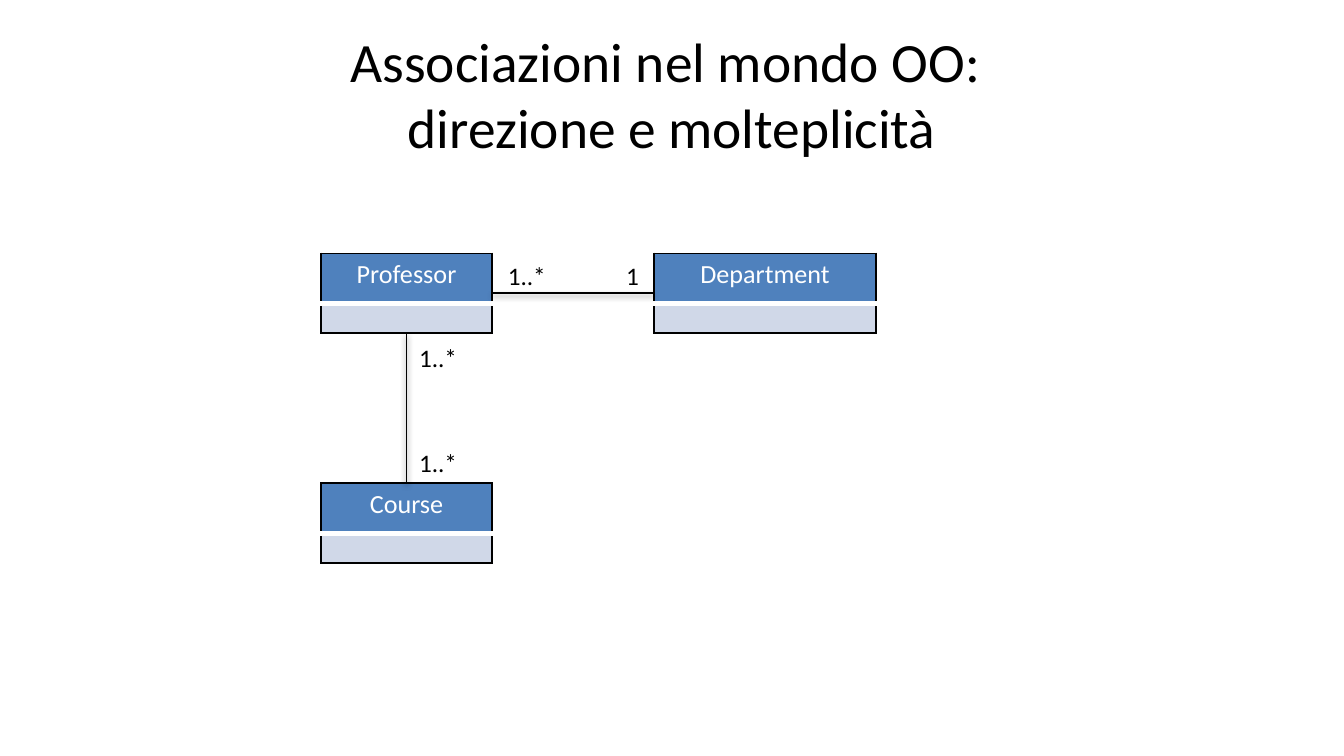
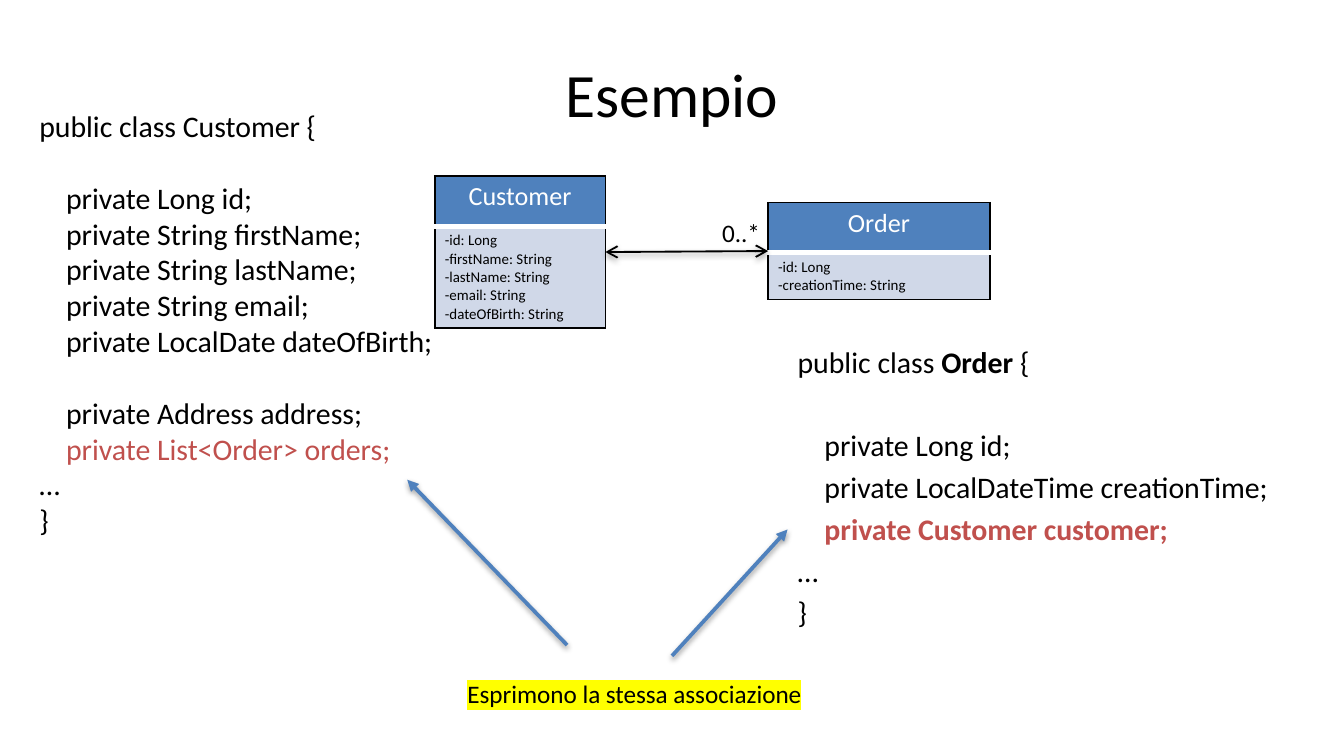
from dataclasses import dataclass
from typing import NamedTuple

from lxml import etree
from pptx import Presentation
from pptx.dml.color import RGBColor
from pptx.enum.shapes import MSO_CONNECTOR
from pptx.enum.text import MSO_ANCHOR, MSO_AUTO_SIZE, PP_ALIGN
from pptx.oxml.ns import qn
from pptx.util import Inches, Pt

STRAIGHT = MSO_CONNECTOR.STRAIGHT
MIDDLE = MSO_ANCHOR.MIDDLE
TOP = MSO_ANCHOR.TOP
FIT = MSO_AUTO_SIZE.SHAPE_TO_FIT_TEXT
CENTER = PP_ALIGN.CENTER
LEFT = PP_ALIGN.LEFT

BLACK = RGBColor(0x00, 0x00, 0x00)
WHITE = RGBColor(0xFF, 0xFF, 0xFF)
BLUE = RGBColor(0x4F, 0x81, 0xBD)
PALE = RGBColor(0xD0, 0xD8, 0xE8)
RED = RGBColor(0xC0, 0x50, 0x4D)
YELLOW = RGBColor(0xFF, 0xFF, 0x00)

FACE = "Calibri"
WIDTH = Inches(10)
HEIGHT = WIDTH * 9 // 16
CELL = WIDTH // 100  # the grid is square, a hundred columns wide
HEAD_ROW = 3.75
LINE_ROW = 1.36
PAD_X, PAD_Y = 0.75, 0.38
TAB = 2
LABEL_SIZE = 13.5
CODE_SIZE = 16
BLANK = 19.2  # points taken by one empty code line
SIDE_TOP, SIDE_LEFT, SIDE_BOTTOM, SIDE_RIGHT = range(4)


class Box(NamedTuple):
    left: float
    top: float
    width: float
    height: float


class Edge(NamedTuple):
    color: RGBColor
    width: float


class Run(NamedTuple):
    text: str
    color: RGBColor = BLACK
    bold: bool = False


class Line(NamedTuple):
    runs: tuple[Run, ...]
    level: int = 0
    gap: bool = False


@dataclass
class Entity:
    name: str
    left: float
    top: float
    width: float
    fields: tuple[str, ...] = ()
    body: float = 2.2


@dataclass
class Code:
    box: Box
    lines: tuple[Line, ...]
    lead: float = 0
    pad: tuple[float, float] = (1, 0.5)


@dataclass
class Label:
    text: str
    box: Box
    mark: RGBColor | None = None


THIN = Edge(BLACK, 1)
HEAD_EDGES = (THIN, THIN, THIN, Edge(WHITE, 3))
BODY_EDGES = (THIN, THIN, Edge(WHITE, 1), THIN)


def grid(value: float) -> int:
    return round(value * CELL)


def place(box: Box) -> list[int]:
    return [grid(value) for value in box]


def node(parent, tag: str, **attrs):
    return etree.SubElement(parent, qn(tag), **attrs)


def tint(parent, color: RGBColor):
    return node(node(parent, "a:solidFill"), "a:srgbClr", val=str(color))


def write(para, run: Run, size: float, mark: RGBColor | None = None) -> None:
    piece = para.add_run()
    piece.text = run.text
    font = piece.font
    font.size, font.bold = Pt(size), run.bold
    font.color.rgb = run.color
    if mark is not None:
        glow = etree.Element(qn("a:highlight"))
        node(glow, "a:srgbClr", val=str(mark))
        piece._r.rPr.find(qn("a:solidFill")).addnext(glow)
    font.name = FACE


def frame(slide, box: Box, wrap: bool):
    text = slide.shapes.add_textbox(*place(box)).text_frame
    text.word_wrap = wrap
    return text


def title(slide, lines: tuple[str, ...], size: float) -> None:
    text = frame(slide, Box(5, 2.25, 90, 9.38), True)
    text.vertical_anchor = MIDDLE
    para = text.paragraphs[0]
    para.alignment = CENTER
    for i, line in enumerate(lines):
        if i:
            para.add_line_break()
        write(para, Run(line), size)


def label(slide, item: Label) -> None:
    text = frame(slide, item.box, False)
    text.auto_size = FIT
    write(text.paragraphs[0], Run(item.text), LABEL_SIZE, item.mark)


def code(slide, item: Code) -> None:
    text = frame(slide, item.box, True)
    text.vertical_anchor = TOP
    text.margin_left = text.margin_right = grid(item.pad[0])
    text.margin_top = text.margin_bottom = grid(item.pad[1])
    for i, line in enumerate(item.lines):
        para = text.add_paragraph() if i else text.paragraphs[0]
        lead = item.lead if i else 0
        para.space_before = Pt(lead + (BLANK + item.lead if line.gap else 0))
        props = para._p.get_or_add_pPr()
        props.set("marL", str(grid(TAB * line.level)))
        props.set("indent", "0")
        for run in line.runs:
            write(para, run, CODE_SIZE)


def dress(cell, fill: RGBColor, edges: tuple[Edge, ...]) -> None:
    """Set the fill, the margins and the left, right, top and bottom borders."""
    cell.fill.solid()
    cell.fill.fore_color.rgb = fill
    cell.margin_left = cell.margin_right = grid(PAD_X)
    cell.margin_top = cell.margin_bottom = grid(PAD_Y)
    props = cell._tc.get_or_add_tcPr()
    for i, (side, edge) in enumerate(zip("LRTB", edges)):
        border = etree.Element(qn(f"a:ln{side}"), w=str(Pt(edge.width)))
        tint(border, edge.color)
        props.insert(i, border)


def entity(slide, item: Entity):
    rows = (HEAD_ROW, item.body)
    box = Box(item.left, item.top, item.width, sum(rows))
    shape = slide.shapes.add_table(2, 1, *place(box))
    table = shape.table
    table.horz_banding = False
    for row, height in zip(table.rows, rows):
        row.height = grid(height)
    head, body = table.cell(0, 0), table.cell(1, 0)
    dress(head, BLUE, HEAD_EDGES)
    dress(body, PALE, BODY_EDGES)
    para = head.text_frame.paragraphs[0]
    para.alignment = CENTER
    write(para, Run(item.name, WHITE), 14)
    text = body.text_frame
    for i, field in enumerate(item.fields):
        para = text.add_paragraph() if i else text.paragraphs[0]
        para.alignment = LEFT
        write(para, Run(field), 8)
    if not item.fields:
        node(text.paragraphs[0]._p, "a:endParaRPr", sz="800")
    return shape


def stroke(slide, ends: Box, edge: Edge, head: str = "", tail: str = ""):
    """Draw a shadowed line; ends holds the start and end points."""
    link = slide.shapes.add_connector(STRAIGHT, *place(ends))
    link.line.color.rgb = edge.color
    link.line.width = Pt(edge.width)
    props = link._element.spPr
    for tag, kind in (("a:headEnd", head), ("a:tailEnd", tail)):
        if kind:
            node(props.find(qn("a:ln")), tag, type=kind)
    shade = node(node(props, "a:effectLst"), "a:outerShdw", blurRad=str(Pt(3.1)),
                 dist=str(Pt(1.6)), dir="5400000", rotWithShape="0")
    node(node(shade, "a:srgbClr", val=str(BLACK)), "a:alpha", val="38000")
    return link


def join(slide, first, start: int, last, end: int, tip: str = "") -> None:
    link = stroke(slide, Box(0, 0, 0, 0), THIN, tip, tip)
    link.begin_connect(first, start)
    link.end_connect(last, end)


def plain(text: str, level: int = 0, gap: bool = False) -> Line:
    return Line((Run(text),), level, gap)


def concept(slide) -> None:
    title(slide, ("Associazioni nel mondo OO: ", "direzione e molteplicità"), 29.7)
    prof = entity(slide, Entity("Professor", 23.9, 18.85, 12.7))
    dept = entity(slide, Entity("Department", 48.68, 18.85, 16.5))
    course = entity(slide, Entity("Course", 23.9, 35.95, 12.7))
    join(slide, prof, SIDE_RIGHT, dept, SIDE_LEFT)
    join(slide, prof, SIDE_BOTTOM, course, SIDE_TOP)
    for text, left, top, width in (
        ("1..*", 30.2, 32.8, 4.9),
        ("1..*", 30.2, 25, 4.9),
        ("1", 45.6, 18.9, 3),
        ("1..*", 36.8, 18.9, 4.9),
    ):
        label(slide, Label(text, Box(left, top, width, 3.3)))


CUSTOMER = Entity(
    "Customer", 32.35, 13.1, 12.7,
    ("-id: Long", "-firstName: String", "-lastName: String",
     "-email: String", "-dateOfBirth: String"),
    5 * LINE_ROW + 2 * PAD_Y,
)
ORDER = Entity(
    "Order", 57.15, 15.07, 16.5, ("-id: Long", "-creationTime: String"),
    2 * LINE_ROW + 2 * PAD_Y,
)
CUSTOMER_CODE = Code(Box(1.94, 7.53, 34.7, 33.4), (
    plain("public class Customer {"),
    plain("private Long id;", 1, True),
    plain("private String firstName;", 1),
    plain("private String lastName;", 1),
    plain("private String email;", 1),
    plain("private LocalDate dateOfBirth;", 1),
    plain("private Address address;", 1, True),
    Line((Run("private List<Order> orders;", RED),), 1),
    plain("…"),
    plain("}"),
))
ORDER_CODE = Code(Box(58.6, 25.17, 39.3, 22.4), (
    Line((Run("public class "), Run("Order", bold=True), Run(" {"))),
    plain("private Long id;", 1, True),
    plain("private LocalDateTime creationTime;", 1),
    Line((Run("private Customer customer;", RED, True),), 1),
    plain("…"),
    plain("}"),
), lead=3.2, pad=(0.75, 0.38))


def example(slide) -> None:
    title(slide, ("Esempio",), 33)
    buyer, order = entity(slide, CUSTOMER), entity(slide, ORDER)
    join(slide, buyer, SIDE_RIGHT, order, SIDE_LEFT, "arrow")
    label(slide, Label("0..*", Box(52.74, 15.7, 4.9, 3.3)))
    code(slide, ORDER_CODE)
    code(slide, CUSTOMER_CODE)
    note = Box(33.8, 50, 27.2, 3.3)
    label(slide, Label("Esprimono la stessa associazione", note, YELLOW))
    for ends in (Box(50, 48.8, 58.6, 39.4), Box(42.2, 48, 30.3, 35.7)):
        stroke(slide, ends, Edge(BLUE, 2), tail="triangle")


def main() -> None:
    deck = Presentation()
    deck.slide_width, deck.slide_height = WIDTH, HEIGHT
    for draw in (concept, example):
        draw(deck.slides.add_slide(deck.slide_layouts[6]))
    deck.save("out.pptx")


if __name__ == "__main__":
    main()
